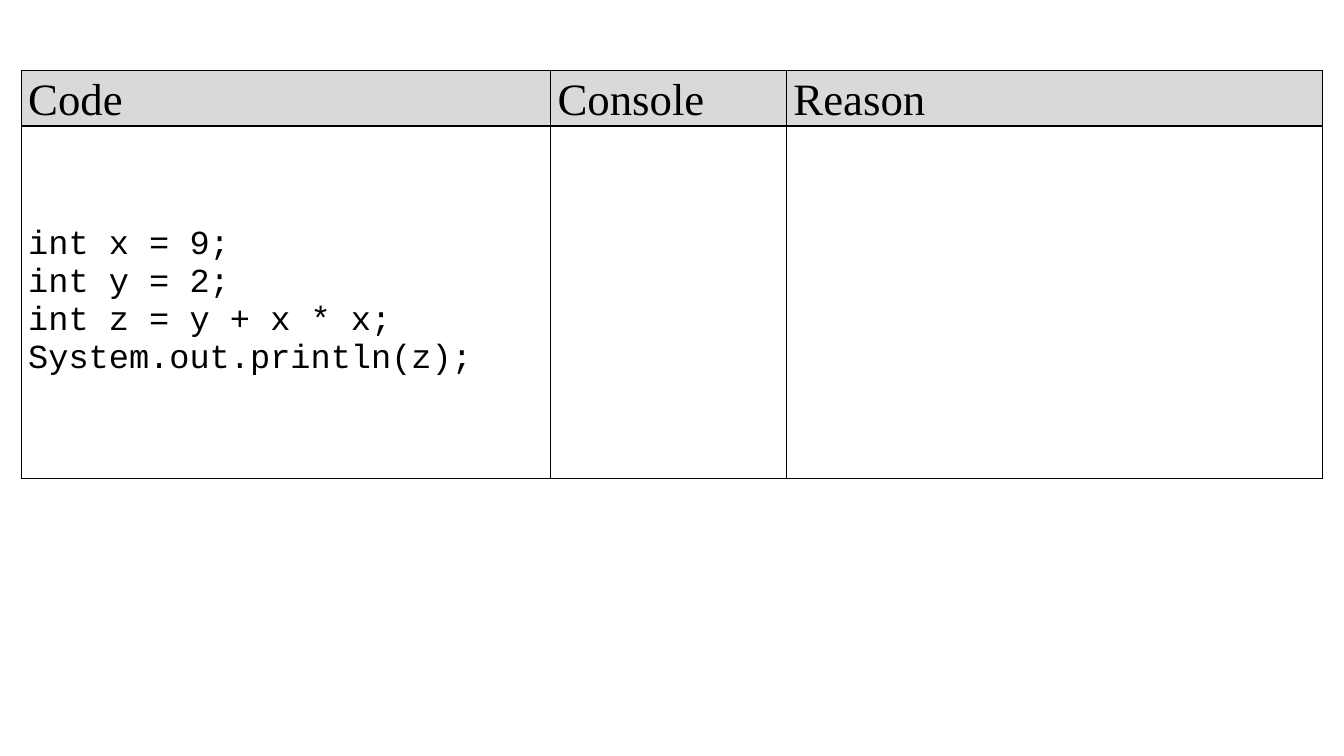
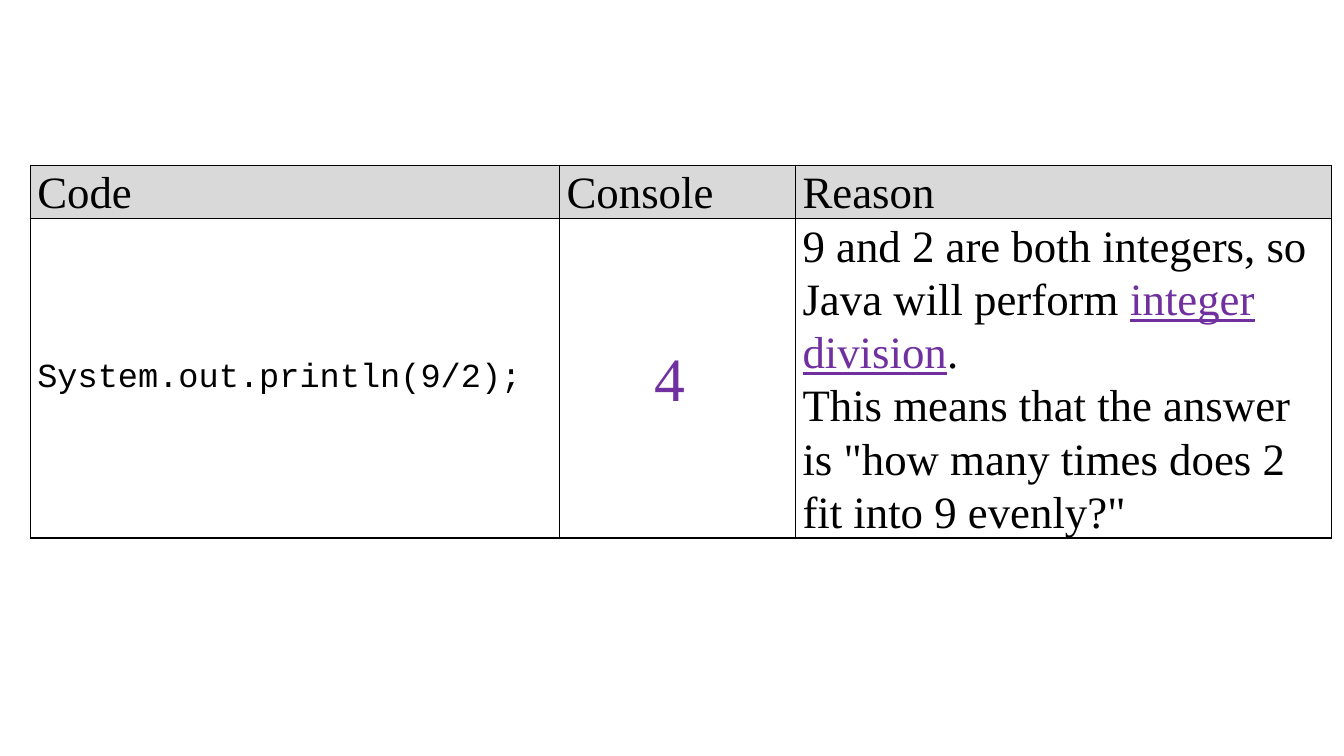
from lxml import etree
from pptx import Presentation
from pptx.dml.color import RGBColor
from pptx.enum.text import MSO_ANCHOR, PP_ALIGN
from pptx.oxml.ns import qn
from pptx.util import Inches, Pt

MIDDLE = MSO_ANCHOR.MIDDLE
LEFT, CENTER = PP_ALIGN.LEFT, PP_ALIGN.CENTER

COLORS = {"text": "000000", "border": "000000", "header": "D9D9D9", "answer": "7030A0"}
SERIF, MONO = "Times New Roman", "Courier New"
BLANK_LAYOUT = 6
COLUMN_WIDTHS = [5.25, 2.34, 5.32]
HEADERS = ["Code", "Console", "Reason"]
MARGINS = {"margin_left": Inches(0.07), "margin_right": Inches(0.07),
           "margin_top": 0, "margin_bottom": 0}

# Text styles by role; a run may override the colour and underline.
STYLES = {
    "prose": {"size": 32, "name": SERIF, "color": "text", "align": LEFT, "spacing": 1.07},
    "code": {"size": 24, "name": MONO, "color": "text", "align": LEFT, "spacing": 1.0},
    "console": {"size": 44, "name": SERIF, "color": "answer", "align": CENTER, "spacing": 1.07},
}
BODY_STYLES = ["code", "console", "prose"]
KEY_TERM = {"color": "answer", "underline": True}

# Each cell is a list of paragraphs, each paragraph a list of (text, overrides) runs.
SLIDES = [
    {
        "position": (0.21, 0.7),
        "row_heights": [0.55, 3.5],
        "body": [
            [[("int x = 9;", {})],
             [("int y = 2;", {})],
             [("int z = y + x * x;", {})],
             [("System.out.println(z);", {})]],
            [],
            [],
        ],
    },
    {
        "position": (0.3, 1.64),
        "row_heights": [0.53, 3.16],
        "body": [
            [[("System.out.println(9/2);", {})]],
            [[("4 ", {})]],
            [[("9 and 2 are both integers, so Java will perform ", {}),
              ("integer division", KEY_TERM),
              (".", {})],
             [('This means that the answer is "how many times does 2 fit into 9 evenly?"', {})]],
        ],
    },
]


def format_cell(cell, fill_color=None):
    """Set margins, anchor, 1 pt borders on all sides, and the fill."""
    for name, value in MARGINS.items():
        setattr(cell, name, value)
    cell.vertical_anchor = MIDDLE
    properties = cell._tc.get_or_add_tcPr()
    for side in ("lnL", "lnR", "lnT", "lnB"):
        line = etree.SubElement(properties, qn(f"a:{side}"), w=str(Pt(1)))
        solid = etree.SubElement(line, qn("a:solidFill"))
        etree.SubElement(solid, qn("a:srgbClr"), val=COLORS[fill_color and "border" or "border"])
    if fill_color:
        cell.fill.solid()
        cell.fill.fore_color.rgb = RGBColor.from_string(COLORS[fill_color])
    else:
        cell.fill.background()


def write_cell(cell, paragraphs, style):
    text_frame = cell.text_frame
    for index, runs in enumerate(paragraphs):
        paragraph = text_frame.add_paragraph() if index else text_frame.paragraphs[0]
        paragraph.alignment = style["align"]
        paragraph.line_spacing = style["spacing"]
        for text, overrides in runs:
            run = paragraph.add_run()
            run.text = text
            look = {**style, **overrides}
            run.font.name = look["name"]
            run.font.size = Pt(look["size"])
            run.font.underline = look.get("underline", False)
            run.font.color.rgb = RGBColor.from_string(COLORS[look["color"]])


presentation = Presentation()
presentation.slide_width = Inches(13.33)
presentation.slide_height = Inches(7.5)

for content in SLIDES:
    slide = presentation.slides.add_slide(presentation.slide_layouts[BLANK_LAYOUT])
    left, top = content["position"]
    heights = content["row_heights"]
    table = slide.shapes.add_table(
        len(heights), len(COLUMN_WIDTHS), Inches(left), Inches(top),
        Inches(sum(COLUMN_WIDTHS)), Inches(sum(heights))).table
    table.first_row = False
    table.horz_banding = False
    for row, height in zip(table.rows, heights):
        row.height = Inches(height)
    for index, width in enumerate(COLUMN_WIDTHS):
        table.columns[index].width = Inches(width)
        header_cell, body_cell = table.cell(0, index), table.cell(1, index)
        format_cell(header_cell, "header")
        write_cell(header_cell, [[(HEADERS[index], {})]], STYLES["prose"])
        format_cell(body_cell)
        write_cell(body_cell, content["body"][index], STYLES[BODY_STYLES[index]])

presentation.save("out.pptx")
